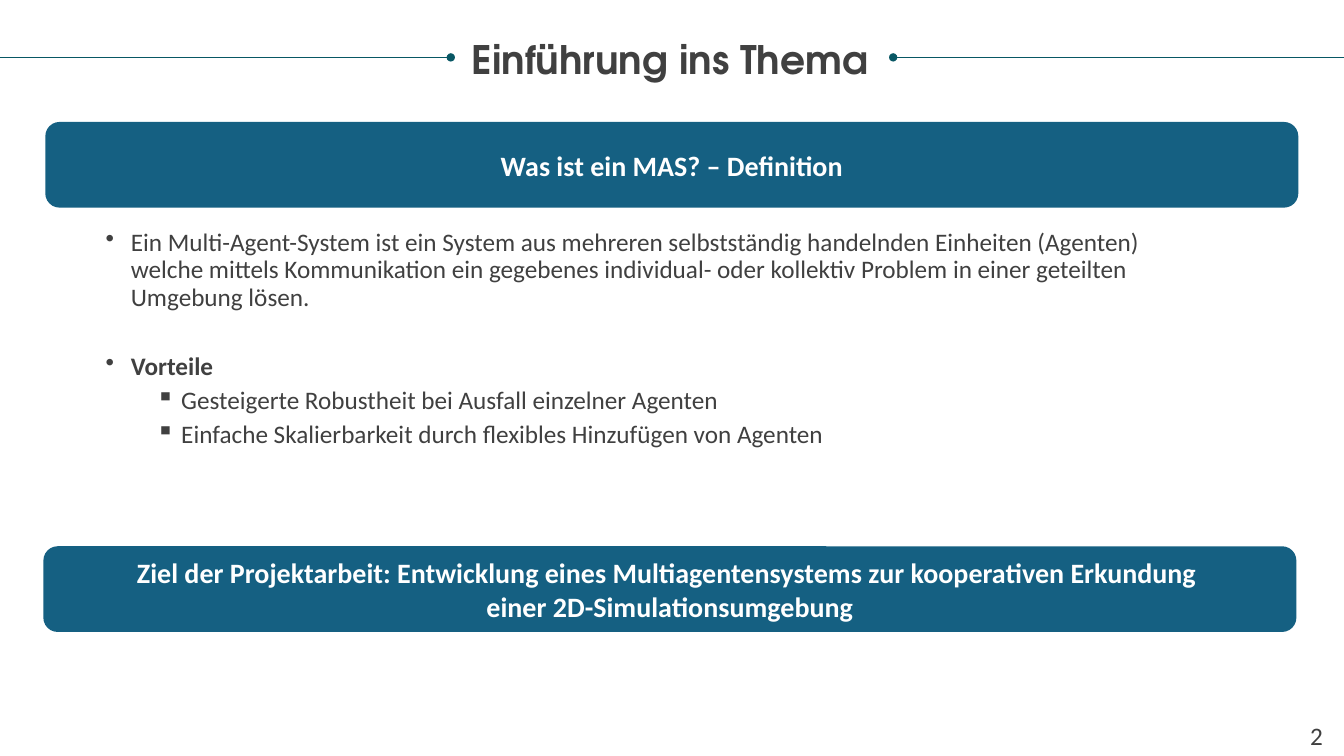
from dataclasses import dataclass

import pptx
import pptx.dml.color
import pptx.enum.shapes
import pptx.enum.text
import pptx.oxml.ns
import pptx.oxml.xmlchemy
import pptx.slide
import pptx.text.text
import pptx.util

Pt = pptx.util.Pt
RGBColor = pptx.dml.color.RGBColor
PP_ALIGN = pptx.enum.text.PP_ALIGN
ANCHOR = pptx.enum.text.MSO_ANCHOR
OxmlElement = pptx.oxml.xmlchemy.OxmlElement
qn = pptx.oxml.ns.qn

PETROL = RGBColor(0x08, 0x57, 0x64)
BLUE = RGBColor(0x15, 0x60, 0x82)
GREY = RGBColor(0x40, 0x40, 0x40)
WHITE = RGBColor(0xFF, 0xFF, 0xFF)

SLIDE_WIDTH, SLIDE_HEIGHT = 960, 540
RULE_Y = 41
BANNER_WIDTH, BANNER_HEIGHT = 895, 61.2

TITLE_FONT = {"name": "TeX Gyre Adventor", "size": Pt(28), "bold": True}
BODY_FONT = {"name": "Calibri", "size": Pt(18), "bold": False}
BANNER_FONT = {"name": "Calibri", "size": Pt(20), "bold": True}


@dataclass(frozen=True)
class Rule:
    dot_x: float
    edge_x: float


@dataclass(frozen=True)
class Banner:
    left: float
    top: float
    lines: tuple[str, ...]


@dataclass(frozen=True)
class Point:
    text: str
    level: int
    bullet: str
    bold: bool = False
    space_before: float = 5


RULES = (Rule(322, 0), Rule(638, SLIDE_WIDTH))

BANNERS = (
    Banner(32.4, 87.1, ("Was ist ein MAS? – Definition",)),
    Banner(31, 390.2, (
        "Ziel der Projektarbeit: Entwicklung eines Multiagentensystems zur kooperativen Erkundung ",
        "einer 2D-Simulationsumgebung",
    )),
)

POINTS = (
    Point("Ein Multi-Agent-System ist ein System aus mehreren selbstständig handelnden "
          "Einheiten (Agenten) welche mittels Kommunikation ein gegebenes individual- oder "
          "kollektiv Problem in einer geteilten Umgebung lösen.", 1, "•"),
    Point("Vorteile", 1, "•", bold=True, space_before=30),
    Point("Gesteigerte Robustheit bei Ausfall einzelner Agenten", 2, "▪"),
    Point("Einfache Skalierbarkeit durch flexibles Hinzufügen von Agenten", 2, "▪"),
)


def apply_format(target: object, values: dict[str, object]) -> None:
    for name, value in values.items():
        setattr(target, name, value)


def write(paragraph: pptx.text.text._Paragraph, text: str, font: dict[str, object],
          color: RGBColor, layout: dict[str, object]) -> None:
    run = paragraph.add_run()
    run.text = text
    apply_format(run.font, font)
    run.font.color.rgb = color
    apply_format(paragraph, layout)


def add_text_frame(slide: pptx.slide.Slide, left: float, top: float, width: float,
                   height: float) -> pptx.text.text.TextFrame:
    frame = slide.shapes.add_textbox(Pt(left), Pt(top), Pt(width), Pt(height)).text_frame
    frame.word_wrap = True
    return frame


def add_rule(slide: pptx.slide.Slide, rule: Rule) -> None:
    line = slide.shapes.add_connector(pptx.enum.shapes.MSO_CONNECTOR.STRAIGHT,
                                      Pt(rule.dot_x), Pt(RULE_Y), Pt(rule.edge_x), Pt(RULE_Y))
    line.line.color.rgb = PETROL
    line.line.width = Pt(0.5)
    properties = line._element.spPr
    dot = OxmlElement("a:headEnd")
    dot.set("type", "oval")
    properties.find(qn("a:ln")).append(dot)
    properties.append(OxmlElement("a:effectLst"))


def add_banner(slide: pptx.slide.Slide, banner: Banner) -> None:
    box = slide.shapes.add_shape(pptx.enum.shapes.MSO_SHAPE.ROUNDED_RECTANGLE,
                                 Pt(banner.left), Pt(banner.top),
                                 Pt(BANNER_WIDTH), Pt(BANNER_HEIGHT))
    box.shadow.inherit = False
    box.fill.solid()
    box.fill.fore_color.rgb = BLUE
    box.line.fill.background()
    frame = box.text_frame
    apply_format(frame, {"word_wrap": True, "vertical_anchor": ANCHOR.MIDDLE})
    for index, text in enumerate(banner.lines):
        paragraph = frame.add_paragraph() if index else frame.paragraphs[0]
        write(paragraph, text, BANNER_FONT, WHITE, {"alignment": PP_ALIGN.CENTER})


def add_point(paragraph: pptx.text.text._Paragraph, point: Point) -> None:
    write(paragraph, point.text, BODY_FONT | {"bold": point.bold}, GREY, {
        "level": point.level,
        "alignment": PP_ALIGN.LEFT,
        "line_spacing": 0.9,
        "space_before": Pt(point.space_before),
    })
    # Bullet with a hanging indent, one step deeper per level
    properties = paragraph._p.get_or_add_pPr()
    properties.set("marL", str(Pt(18 + 36 * point.level)))
    properties.set("indent", str(Pt(-18)))
    bullet = OxmlElement("a:buChar")
    bullet.set("char", point.bullet)
    properties.append(bullet)


def main() -> None:
    presentation = pptx.Presentation()
    presentation.slide_width = Pt(SLIDE_WIDTH)
    presentation.slide_height = Pt(SLIDE_HEIGHT)
    slide = presentation.slides.add_slide(presentation.slide_layouts[6])

    # Title between two dotted rules
    for rule in RULES:
        add_rule(slide, rule)
    title = add_text_frame(slide, 16.6, 28.8, 923.8, 61.2)
    apply_format(title, dict.fromkeys(
        ("margin_left", "margin_top", "margin_right", "margin_bottom"), Pt(0)))
    write(title.paragraphs[0], "Einführung ins Thema", TITLE_FONT, GREY,
          {"alignment": PP_ALIGN.CENTER, "line_spacing": 0.9})

    # Page number
    page_number = add_text_frame(slide, 923, 511.2, 34.6, 28.8)
    write(page_number.paragraphs[0], "2", BODY_FONT, GREY, {"alignment": PP_ALIGN.CENTER})

    # Definition and advantages
    definition = add_text_frame(slide, 32.4, 160.6, 828, 181.4)
    for index, point in enumerate(POINTS):
        add_point(definition.add_paragraph() if index else definition.paragraphs[0], point)

    # Banners
    for banner in BANNERS:
        add_banner(slide, banner)

    presentation.save("out.pptx")


if __name__ == "__main__":
    main()
